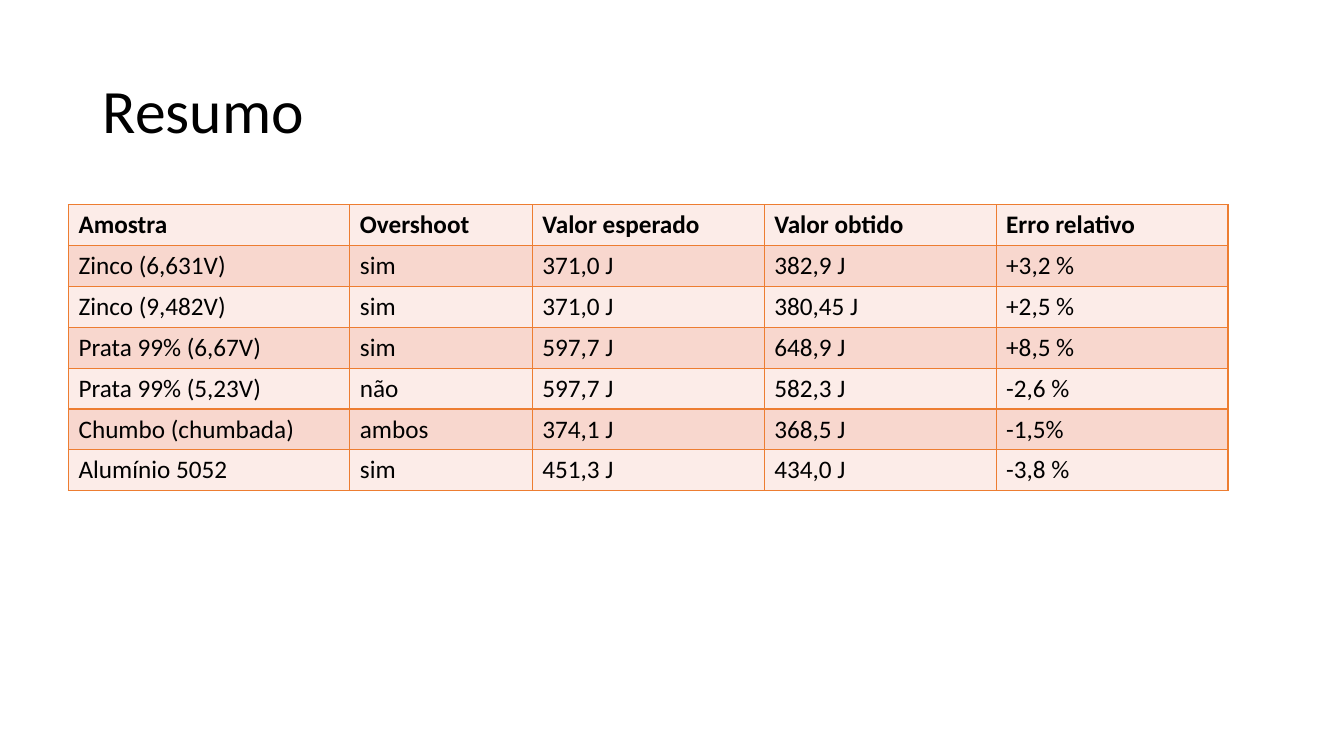
"""Build the summary slide with its table of samples and errors."""
import pptx
import pptx.dml.color
import pptx.enum.text
import pptx.oxml
import pptx.oxml.ns
import pptx.util
from pptx.util import Inches

COLORS = {"text": "000000", "light": "FCECE8", "dark": "F8D7CE", "line": "ED7D31"}
WIDTHS = [2.79, 1.81, 2.3, 2.3, 2.3]
ROWS = [
    ["Amostra", "Overshoot", "Valor esperado", "Valor obtido", "Erro relativo"],
    ["Zinco (6,631V)", "sim", "371,0 J", "382,9 J", "+3,2 %"],
    ["Zinco (9,482V)", "sim", "371,0 J", "380,45 J", "+2,5 %"],
    ["Prata 99% (6,67V)", "sim", "597,7 J", "648,9 J", "+8,5 %"],
    ["Prata 99% (5,23V)", "não", "597,7 J", "582,3 J", "-2,6 %"],
    ["Chumbo (chumbada)", "ambos", "374,1 J", "368,5 J", "-1,5%"],
    ["Alumínio 5052", "sim", "451,3 J", "434,0 J", "-3,8 %"],
]


def color(name):
    return pptx.dml.color.RGBColor.from_string(COLORS[name])


def style(par, size, bold=False):
    par.font.name = "Calibri"
    par.font.size = pptx.util.Pt(size)
    par.font.bold = bold
    par.font.color.rgb = color("text")


deck = pptx.Presentation()
deck.slide_width = Inches(13.33)
deck.slide_height = Inches(7.5)
slide = deck.slides.add_slide(deck.slide_layouts[5])

title = slide.shapes.title
title.left, title.top = Inches(0.92), Inches(0.4)
title.width, title.height = Inches(11.5), Inches(1.45)
frame = title.text_frame
frame.text = "Resumo"
frame.auto_size = pptx.enum.text.MSO_AUTO_SIZE.NONE
frame.vertical_anchor = pptx.enum.text.MSO_ANCHOR.MIDDLE
head = frame.paragraphs[0]
head.alignment = pptx.enum.text.PP_ALIGN.LEFT
head.line_spacing = 0.9
style(head, 44)

table = slide.shapes.add_table(
    len(ROWS), len(WIDTHS), Inches(0.68), Inches(2.03), Inches(11.5), Inches(2.84)
).table
for column, width in zip(table.columns, WIDTHS):
    column.width = Inches(width)

for r, row in enumerate(ROWS):
    for c, text in enumerate(row):
        cell = table.cell(r, c)
        cell.text = text
        style(cell.text_frame.paragraphs[0], 18, bold=r == 0)
        props = cell._tc.get_or_add_tcPr()
        for side in "LRTB":
            props.append(pptx.oxml.parse_xml(
                f'<a:ln{side} {pptx.oxml.ns.nsdecls("a")} w="12700"><a:solidFill>'
                f'<a:srgbClr val="{COLORS["line"]}"/></a:solidFill></a:ln{side}>'
            ))
        cell.fill.solid()
        cell.fill.fore_color.rgb = color("dark" if r % 2 else "light")

deck.save("out.pptx")
